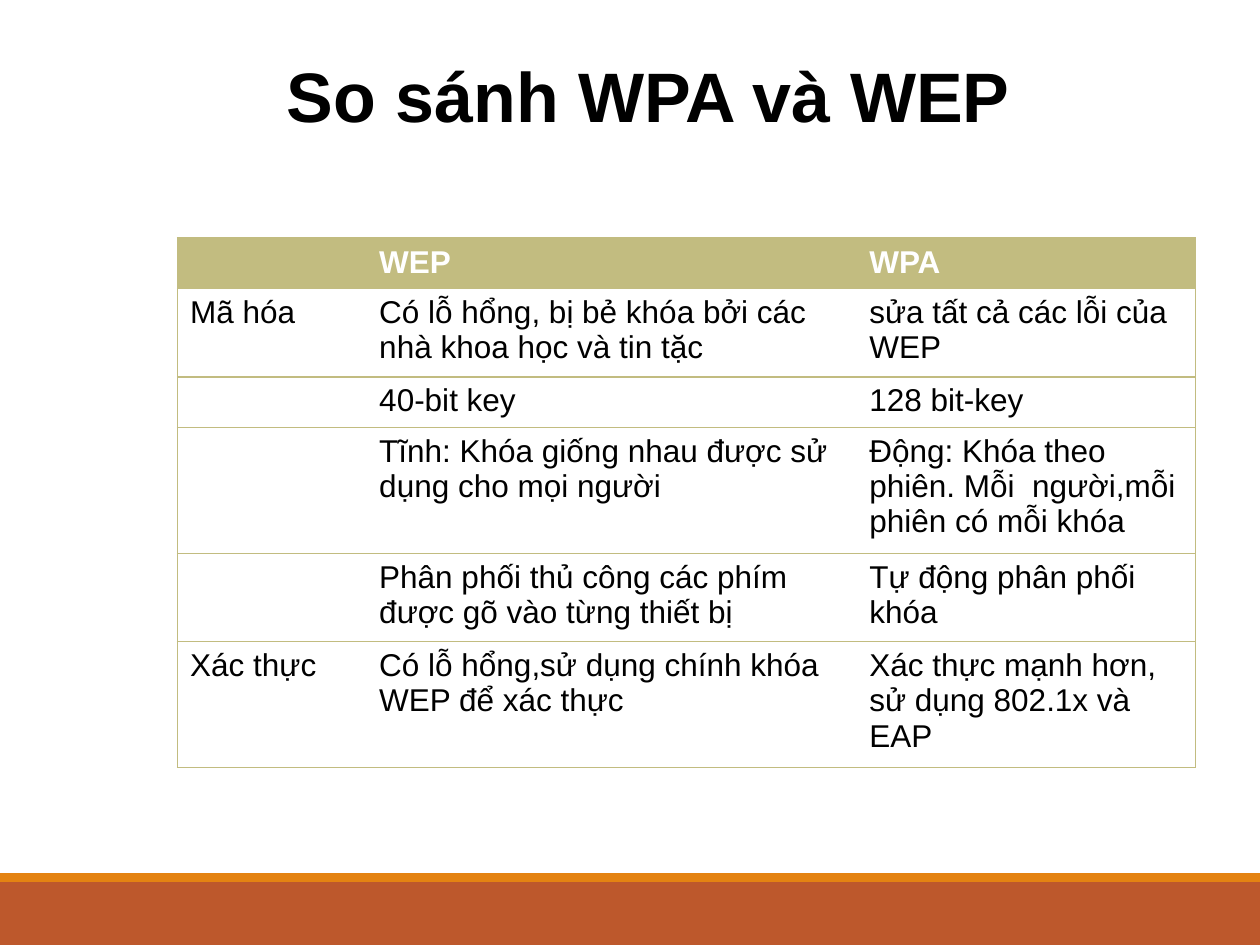
"""Build a slide that compares WPA with WEP in a table."""
from dataclasses import dataclass

from lxml import etree
from pptx import Presentation
from pptx.dml.color import RGBColor
from pptx.enum import shapes as sh, text as tx
from pptx.oxml import ns
from pptx.util import Inches, Pt

BLACK = RGBColor(0, 0, 0)
WHITE = RGBColor(255, 255, 255)
RUST = RGBColor(0xBD, 0x58, 0x2C)
AMBER = RGBColor(0xE4, 0x83, 0x12)
KHAKI = RGBColor(0xC2, 0xBC, 0x80)
FONT = "Arial"
COLS = (1.5, 3.89, 2.69)


@dataclass
class Band:
    top: float
    high: float
    color: RGBColor


@dataclass
class Row:
    high: float
    cells: tuple[str, str, str]


BANDS = [Band(7, 0.5, RUST), Band(6.93, 0.07, AMBER)]
ROWS = [
    Row(0.4, ("", "WEP", "WPA")),
    Row(0.7, ("Mã hóa", "Có lỗ hổng, bị bẻ khóa bởi các nhà khoa học và tin tặc",
              "sửa tất cả các lỗi của WEP")),
    Row(0.4, ("", "40-bit key", "128 bit-key")),
    Row(1, ("", "Tĩnh: Khóa giống nhau được sử dụng cho mọi người",
            "Động: Khóa theo phiên. Mỗi  người,mỗi phiên có mỗi khóa")),
    Row(0.7, ("", "Phân phối thủ công các phím được gõ vào từng thiết bị",
              "Tự động phân phối khóa")),
    Row(1, ("Xác thực", "Có lỗ hổng,sử dụng chính khóa WEP để xác thực",
            "Xác thực mạnh hơn, sử dụng 802.1x và EAP")),
]


def add_run(para, words: str, size: int, color: RGBColor, bold: bool) -> None:
    run = para.add_run()
    run.text = words
    font = run.font
    font.name, font.size, font.bold = FONT, Pt(size), bold
    font.color.rgb = color


def add_band(slide, band: Band) -> None:
    bar = slide.shapes.add_shape(sh.MSO_SHAPE.RECTANGLE, 0, Inches(band.top),
                                 Inches(10), Inches(band.high))
    bar.shadow.inherit = False
    bar.fill.solid()
    bar.fill.fore_color.rgb = band.color
    bar.line.fill.background()


def add_title(slide, words: str) -> None:
    title = slide.shapes.title
    title.left, title.top = Inches(2.15), Inches(0.37)
    title.width, title.height = Inches(5.99), Inches(0.77)
    frame = title.text_frame
    frame.word_wrap = False
    frame.auto_size = tx.MSO_AUTO_SIZE.SHAPE_TO_FIT_TEXT
    frame.vertical_anchor = tx.MSO_ANCHOR.TOP
    para = frame.paragraphs[0]
    para.alignment = tx.PP_ALIGN.CENTER
    add_run(para, words, 40, BLACK, True)


def add_edge(cell, side: str, shown: bool) -> None:
    props = cell._tc.get_or_add_tcPr()
    line = etree.SubElement(props, ns.qn(f"a:ln{side}"), w=str(Pt(1)))
    if shown:
        fill = etree.SubElement(line, ns.qn("a:solidFill"))
        etree.SubElement(fill, ns.qn("a:srgbClr"), val=str(KHAKI))
    else:
        etree.SubElement(line, ns.qn("a:noFill"))


def add_grid(slide, rows: list[Row]) -> None:
    grid = slide.shapes.add_table(
        len(rows), len(COLS), Inches(1.41), Inches(1.89), Inches(sum(COLS)),
        Inches(sum(row.high for row in rows))).table
    grid.horz_banding = False
    for col, wide in zip(grid.columns, COLS):
        col.width = Inches(wide)
    for r, row in enumerate(rows):
        grid.rows[r].height = Inches(row.high)
        head = r == 0
        for c, words in enumerate(row.cells):
            cell = grid.cell(r, c)
            edges = {"L": c == 0, "R": c == len(COLS) - 1, "T": True, "B": True}
            for side, shown in edges.items():
                add_edge(cell, side, shown)
            if head:
                cell.fill.solid()
                cell.fill.fore_color.rgb = KHAKI
            else:
                cell.fill.background()
            if words:
                add_run(cell.text_frame.paragraphs[0], words, 18,
                        WHITE if head else BLACK, head)


def main() -> None:
    deck = Presentation()
    deck.slide_width, deck.slide_height = Inches(10), Inches(7.5)
    slide = deck.slides.add_slide(deck.slide_layouts[5])
    for band in BANDS:
        add_band(slide, band)
    add_title(slide, "So sánh WPA và WEP")
    add_grid(slide, ROWS)
    deck.save("out.pptx")


if __name__ == "__main__":
    main()
